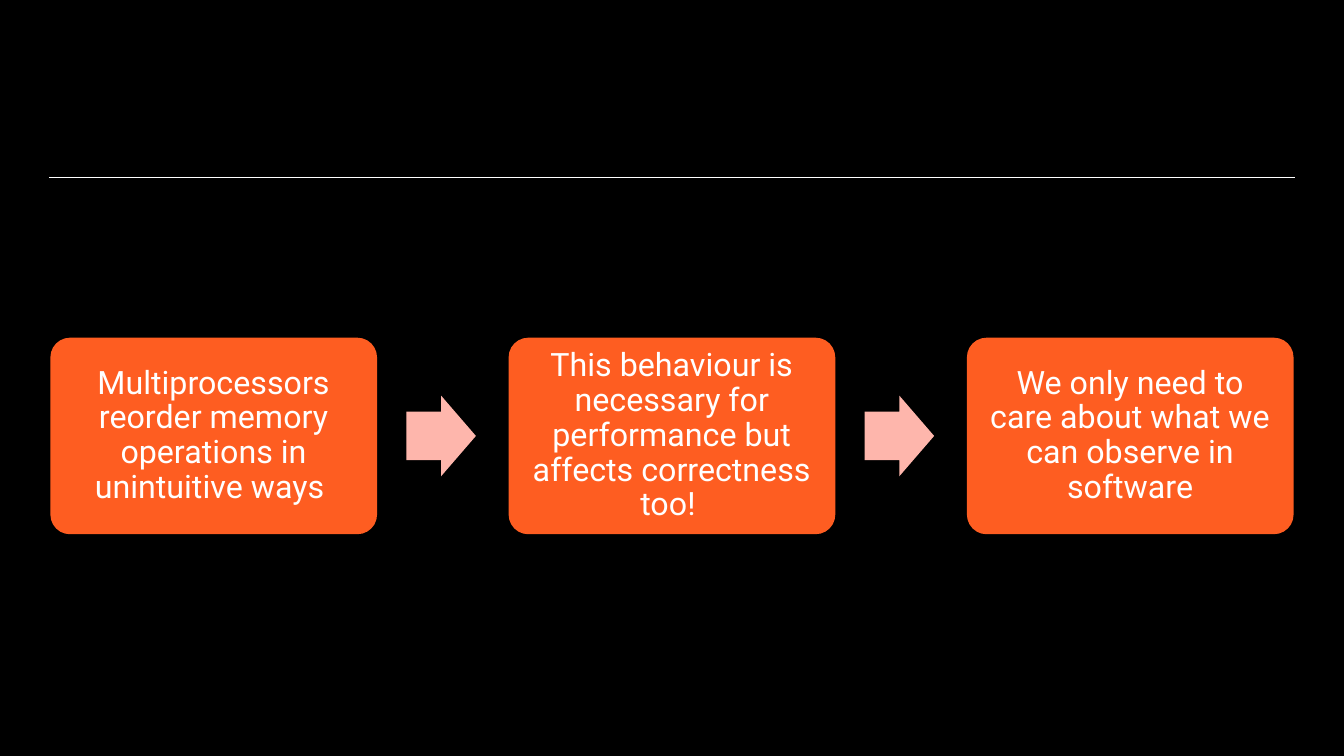
import pptx
import pptx.util
import pptx.dml.color
import pptx.enum.shapes
import pptx.enum.text
import pptx.oxml.ns
import lxml.etree

Inches = pptx.util.Inches
SHAPES = pptx.enum.shapes.MSO_SHAPE

COLORS = {
    "background": "000000",
    "rule": "FFFFFF",
    "text": "FFFFFF",
    "step": "FE5D21",
    "arrow": "FEB6AC",
}

STEPS = [
    "Multiprocessors reorder memory operations in unintuitive ways ",
    "This behaviour is necessary for performance but affects correctness too! ",
    "We only need to care about what we can observe in software",
]


def rgb(name):
    return pptx.dml.color.RGBColor.from_string(COLORS[name])


def write_text(tf, text, size=23, font="Roboto", color="text", spacing=0.9, inset=0.1):
    """Fill a text frame with one centred paragraph."""
    tf.word_wrap = True
    tf.vertical_anchor = pptx.enum.text.MSO_ANCHOR.MIDDLE
    tf.margin_left = tf.margin_right = Inches(inset)
    tf.margin_top = tf.margin_bottom = Inches(inset)
    p = tf.paragraphs[0]
    p.alignment = pptx.enum.text.PP_ALIGN.CENTER
    p.line_spacing = spacing
    r = p.add_run()
    r.text = text
    r.font.size = pptx.util.Pt(size)
    r.font.name = font
    r.font.color.rgb = rgb(color)


class Deck:
    def __init__(self, prs):
        self.slide = prs.slides.add_slide(prs.slide_layouts[6])
        fill = self.slide.background.fill
        fill.solid()
        fill.fore_color.rgb = rgb("background")

    def rule(self, x1, x2, y):
        line = self.slide.shapes.add_connector(
            pptx.enum.shapes.MSO_CONNECTOR.STRAIGHT,
            Inches(x1), Inches(y), Inches(x2), Inches(y))
        line.line.color.rgb = rgb("rule")
        line.line.width = pptx.util.Pt(0.5)
        lxml.etree.SubElement(line._element.spPr, pptx.oxml.ns.qn("a:effectLst"))

    def shape(self, kind, x, y, w, h, color, adjustments):
        sp = self.slide.shapes.add_shape(kind, Inches(x), Inches(y), Inches(w), Inches(h))
        for i, value in enumerate(adjustments):
            sp.adjustments[i] = value
        sp.shadow.inherit = False
        sp.fill.solid()
        sp.fill.fore_color.rgb = rgb(color)
        sp.line.fill.background()
        return sp

    def step(self, x, y, w, h, text):
        sp = self.shape(SHAPES.ROUNDED_RECTANGLE, x, y, w, h, "step", [0.1])
        write_text(sp.text_frame, text)

    def arrow(self, x, y, w, h):
        self.shape(SHAPES.RIGHT_ARROW, x, y, w, h, "arrow", [0.6, 0.5])


def main():
    prs = pptx.Presentation()
    prs.slide_width, prs.slide_height = Inches(13.33), Inches(7.5)
    deck = Deck(prs)

    # Rule under the empty heading area
    deck.rule(0.49, 12.84, 1.76)

    # Steps in a row, with an arrow leading to each next one
    left, top, width, height, pitch = 0.5, 3.35, 3.24, 1.95, 4.545
    arrow_w, arrow_h, arrow_gap = 0.69, 0.8, 0.29
    for i, text in enumerate(STEPS):
        x = left + i * pitch
        deck.step(x, top, width, height, text)
        if i < len(STEPS) - 1:
            deck.arrow(x + width + arrow_gap, top + (height - arrow_h) / 2, arrow_w, arrow_h)

    prs.save("out.pptx")


if __name__ == "__main__":
    main()
